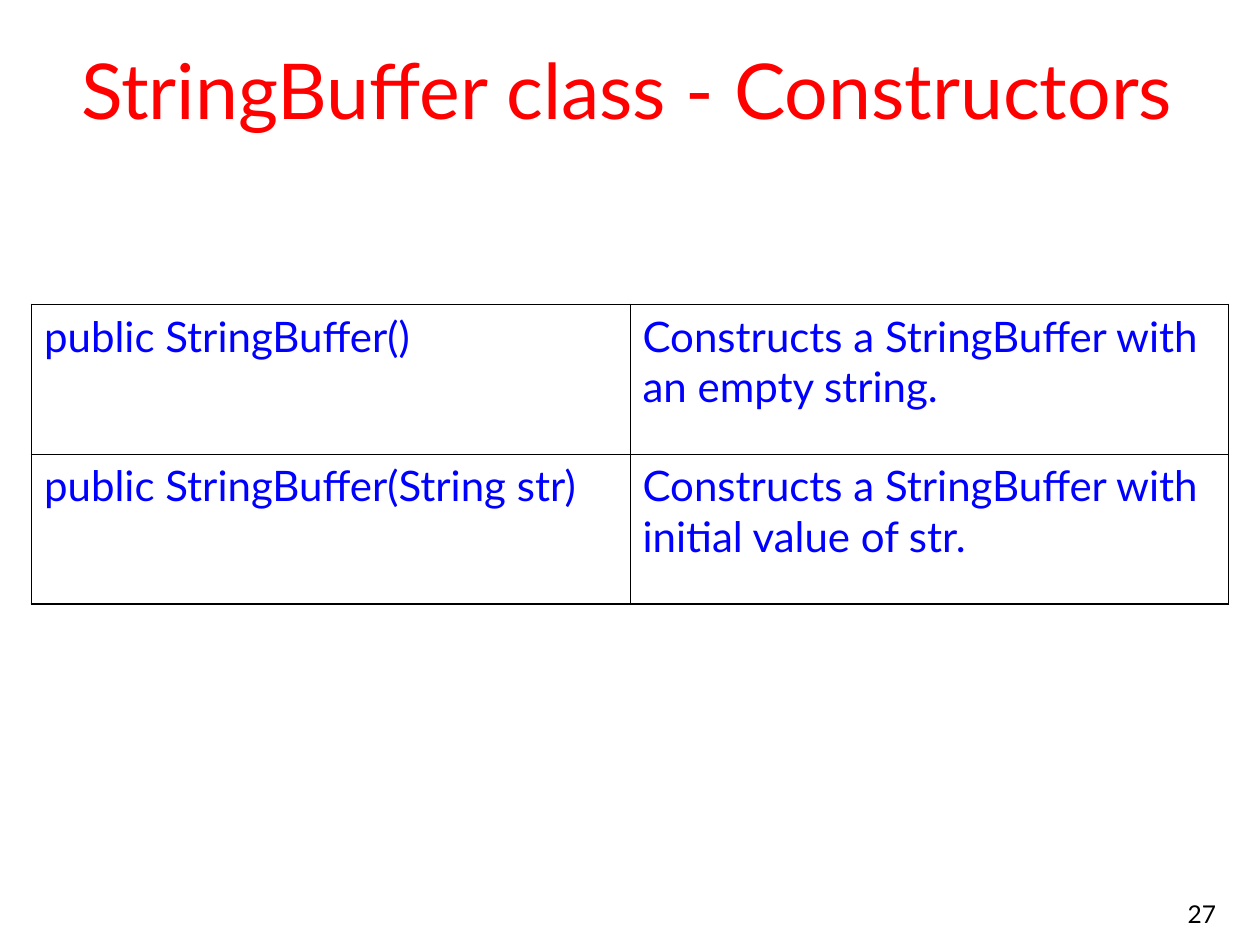
from dataclasses import dataclass

from lxml import etree
from pptx import Presentation
from pptx.dml.color import RGBColor
from pptx.enum.text import MSO_ANCHOR, PP_ALIGN
from pptx.oxml.ns import qn
from pptx.util import Pt

CENTER, RIGHT = PP_ALIGN.CENTER, PP_ALIGN.RIGHT
MIDDLE, BOTTOM = MSO_ANCHOR.MIDDLE, MSO_ANCHOR.BOTTOM


@dataclass(frozen=True)
class Theme:
    font: str = "Lato"
    paper: str = "FFFFFF"
    ink: str = "000000"
    title: str = "FF0000"
    body: str = "0000FF"
    title_size: float = 44
    body_size: float = 24
    number_size: float = 14
    outer_line: float = 1.08
    inner_line: float = 0.45


class Deck:
    def __init__(self, theme, width, height):
        self.theme = theme
        self.prs = Presentation()
        self.prs.slide_width, self.prs.slide_height = Pt(width), Pt(height)
        self.s = self.prs.slides.add_slide(self.prs.slide_layouts[6])

    def style(self, p, size, color, align=None):
        p.alignment = align
        p.font.name = self.theme.font
        p.font.size = Pt(size)
        p.font.color.rgb = RGBColor.from_string(color)

    def text(self, text, box, size, color, align, anchor, fill=None):
        sp = self.s.shapes.add_textbox(*map(Pt, box))
        if fill:
            sp.fill.solid()
            sp.fill.fore_color.rgb = RGBColor.from_string(fill)
        tf = sp.text_frame
        tf.word_wrap = True
        tf.vertical_anchor = anchor
        p = tf.paragraphs[0]
        p.text = text
        self.style(p, size, color, align)

    def border(self, cell, widths):
        tcPr = cell._tc.get_or_add_tcPr()
        for i, (side, width) in enumerate(zip("LRTB", widths)):
            ln = etree.Element(qn(f"a:ln{side}"), w=str(int(Pt(width))))
            fill = etree.SubElement(ln, qn("a:solidFill"))
            etree.SubElement(fill, qn("a:srgbClr"), val=self.theme.ink)
            tcPr.insert(i, ln)

    def table(self, rows, box):
        t = self.theme
        n_rows, n_cols = len(rows), len(rows[0])
        table = self.s.shapes.add_table(n_rows, n_cols, *map(Pt, box)).table
        table.first_row = table.horz_banding = False
        for i, row in enumerate(rows):
            for j, text in enumerate(row):
                cell = table.cell(i, j)
                cell.fill.background()
                p = cell.text_frame.paragraphs[0]
                p.text = text
                p.space_before = Pt(6)
                self.style(p, t.body_size, t.body)
                # Heavier lines on the outside edge of the grid
                outer = (j == 0, j == n_cols - 1, i == 0, i == n_rows - 1)
                self.border(cell, [t.outer_line if o else t.inner_line for o in outer])

    def save(self):
        self.prs.save("out.pptx")


theme = Theme()
deck = Deck(theme, 720, 540)

# Slide number
deck.text("27", (552, 498, 150, 36), theme.number_size, theme.ink, RIGHT, BOTTOM)

# Title
deck.text("StringBuffer class - Constructors", (12, 12, 693, 78),
          theme.title_size, theme.title, CENTER, MIDDLE, theme.paper)

# Constructors and what they do
deck.table([
    ("public StringBuffer()", "Constructs a StringBuffer with an empty string."),
    ("public StringBuffer(String str)", "Constructs a StringBuffer with initial value of str."),
], (18, 174, 684, 171))

deck.save()
